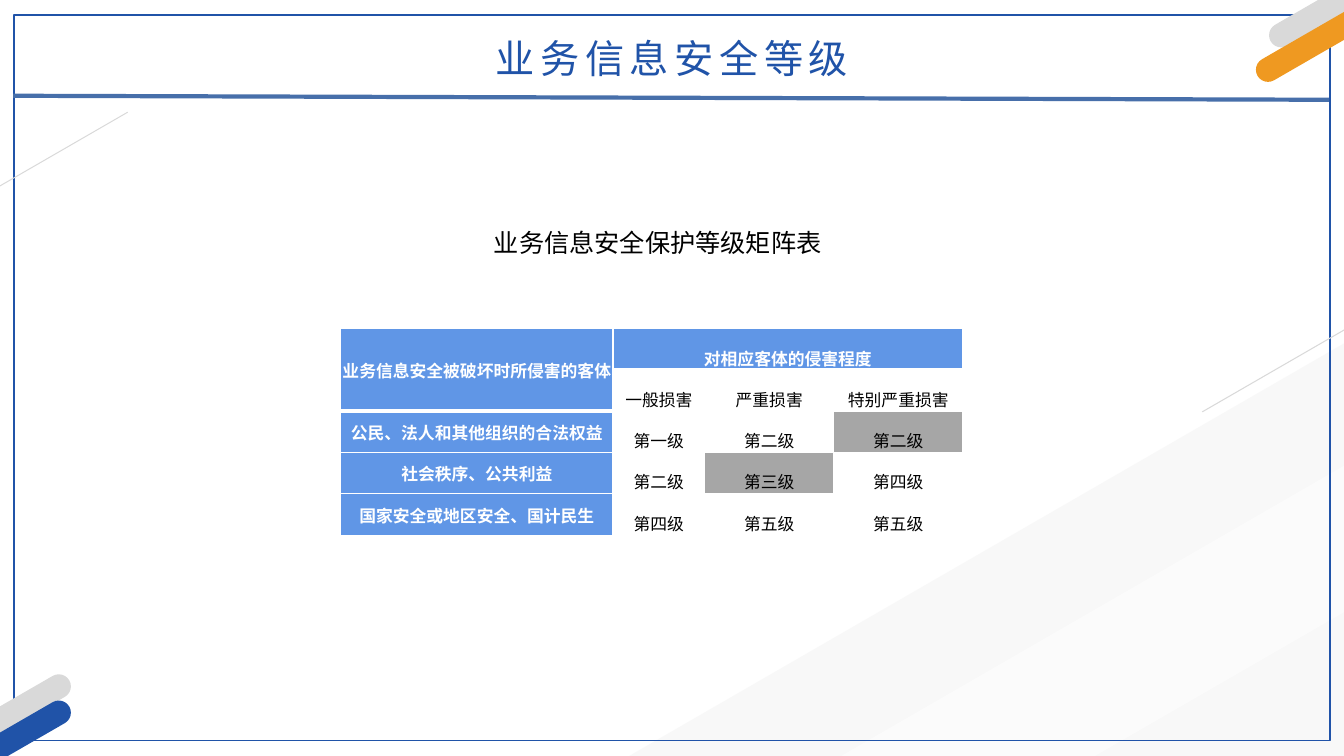
from lxml.etree import SubElement
from pptx import Presentation
from pptx.dml.color import RGBColor
from pptx.enum.shapes import MSO_CONNECTOR, MSO_SHAPE
from pptx.enum.text import MSO_ANCHOR as Anchor, PP_ALIGN as Align
from pptx.oxml.ns import qn
from pptx.util import Inches, Pt


def color(value):
    return RGBColor.from_string(value)


def write(frame, text, size, font, value, align, bold=False):
    frame.text = text
    para = frame.paragraphs[0]
    para.alignment = align
    span = para.runs[0]
    span.font.size = Pt(size)
    span.font.bold = bold
    span.font.color.rgb = color(value)
    span.font.name = font
    SubElement(span.font._element, qn("a:ea"), typeface="Noto Sans CJK SC")
    return span


deck = Presentation()
deck.slide_width, deck.slide_height = Inches(13.33), Inches(7.5)
page = deck.slides.add_slide(deck.slide_layouts[6])
shapes = page.shapes

backdrop = [
    (3.32, 5.52, 13.84, 4.26, "F2F2F2"),
    (3.79, 6.23, 13.84, 1.26, "FFFFFF"),
]
stripes = [
    (12.26, -0.99, 5.12, 0.24, "D9D9D9"),
    (12.04, -0.98, 6.45, 0.24, "EF9921"),
    (-4.75, 2.72, 6.45, 0.01, "D9D9D9"),
    (-4.09, 7.91, 5.12, 0.24, "D9D9D9"),
    (-4.09, 8.17, 5.12, 0.24, "2053A8"),
    (11.49, 2.47, 6.45, 0.01, "D9D9D9"),
]
for left, top, width, height, value in backdrop + stripes:
    bar = shapes.add_shape(MSO_SHAPE.ROUNDED_RECTANGLE, Inches(left), Inches(top),
                           Inches(width), Inches(height))
    bar.adjustments[0] = 0.5
    bar.rotation = 330
    bar.shadow.inherit = False
    bar.fill.solid()
    bar.fill.fore_color.rgb = color(value)
    bar.line.fill.background()
    if (left, top, width, height, value) in backdrop:
        tone = bar._element.spPr.find(qn("a:solidFill"))[0]
        SubElement(tone, qn("a:alpha"), val="49000")
    if bar.name and (left, top) == backdrop[-1][:2]:
        border = shapes.add_shape(MSO_SHAPE.RECTANGLE, Inches(0.14), Inches(0.15),
                                  Inches(13.05), Inches(7.2))
        border.shadow.inherit = False
        border.fill.background()
        border.line.color.rgb = color("2053A8")
        border.line.width = Pt(1)

title = shapes.add_textbox(Inches(0), Inches(0.29), Inches(13.33), Inches(0.57))
title.text_frame.word_wrap = True
span = write(title.text_frame, "业务信息安全等级", 28, "Noto Sans CJK SC", "2053A8", Align.CENTER)
span.font._element.set("spc", "400")

rule = shapes.add_connector(MSO_CONNECTOR.STRAIGHT, Inches(0.13), Inches(0.95),
                            Inches(13.18), Inches(0.99))
rule.line.color.rgb = color("476FAA")
rule.line.width = Pt(3)
SubElement(rule._element.spPr, qn("a:effectLst"))

rows = [
    ["业务信息安全被破坏时所侵害的客体", "对相应客体的侵害程度", "", ""],
    ["", "一般损害", "严重损害", "特别严重损害"],
    ["公民、法人和其他组织的合法权益", "第一级", "第二级", "第二级"],
    ["社会秩序、公共利益", "第二级", "第三级", "第四级"],
    ["国家安全或地区安全、国计民生", "第四级", "第五级", "第五级"],
]
highlighted = [(2, 3), (3, 2)]
table = shapes.add_table(5, 4, Inches(3.38), Inches(3.26), Inches(6.17), Inches(2.05)).table
table.first_row = table.horz_banding = False
for column, width in zip(table.columns, [2.7, 0.91, 1.28, 1.28]):
    column.width = Inches(width)
for row in table.rows:
    row.height = Inches(0.41)

for r, texts in enumerate(rows):
    for c, text in enumerate(texts):
        cell = table.cell(r, c)
        header = r == 0 or c == 0
        cell.margin_left = cell.margin_top = cell.margin_right = Inches(0.01)
        cell.margin_bottom = 0
        cell.vertical_anchor = Anchor.MIDDLE if c == 0 else Anchor.BOTTOM
        for side in ("lnL", "lnR", "lnT", "lnB"):
            thick = side == "lnB" and (r == 0 or (r, c) == (1, 0))
            edge = SubElement(cell._tc.tcPr, qn("a:" + side), w=str(Pt(3 if thick else 1)))
            SubElement(SubElement(edge, qn("a:solidFill")), qn("a:srgbClr"), val="FFFFFF")
        if header or (r, c) in highlighted:
            cell.fill.solid()
            cell.fill.fore_color.rgb = color("6096E6" if header else "A6A6A6")
        else:
            cell.fill.background()
        if text:
            write(cell.text_frame, text, 12, "Arial", "FFFFFF" if header else "000000",
                  Align.CENTER, header)
table.cell(0, 0).merge(table.cell(1, 0))
table.cell(0, 1).merge(table.cell(0, 3))

caption = shapes.add_textbox(Inches(4.8), Inches(2.21), Inches(3.96), Inches(0.4))
caption.text_frame.word_wrap = True
write(caption.text_frame, "业务信息安全保护等级矩阵表", 18, "Times New Roman", "000000", Align.LEFT)

deck.save("out.pptx")
